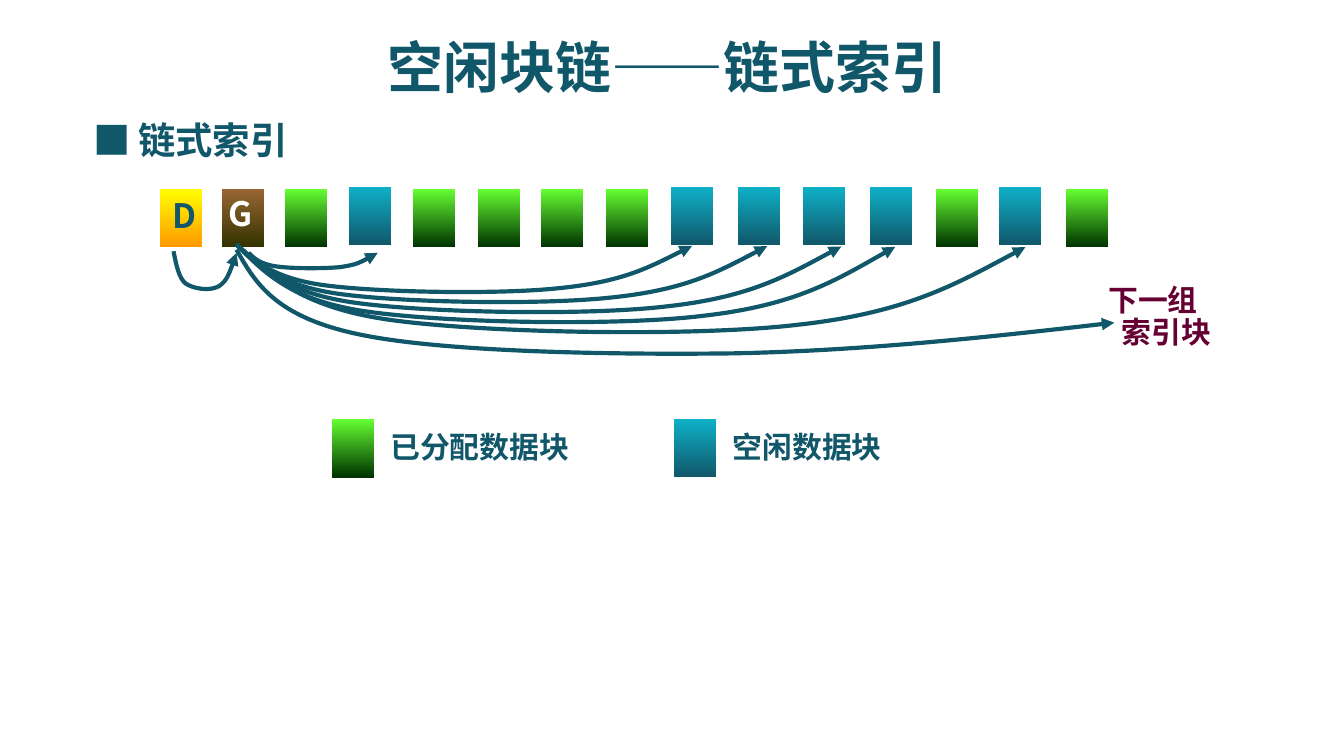
from dataclasses import dataclass

from lxml import etree
from pptx import Presentation
from pptx.dml.color import RGBColor
from pptx.enum.shapes import MSO_SHAPE
from pptx.enum.text import MSO_ANCHOR, PP_ALIGN
from pptx.oxml.ns import qn
from pptx.util import Cm, Pt

RECTANGLE = MSO_SHAPE.RECTANGLE
LEFT, CENTER = PP_ALIGN.LEFT, PP_ALIGN.CENTER
MIDDLE = MSO_ANCHOR.MIDDLE

Point = tuple[float, float]


@dataclass(frozen=True)
class Theme:
    font: str = "Noto Sans CJK SC"
    bullet_font: str = "Noto Sans CJK JP"
    teal: str = "11576A"
    white: str = "FFFFFF"
    maroon: str = "660033"
    title: int = 30
    heading: int = 20
    letter: int = 18
    label: int = 16
    curve_width: float = 2.25
    line_spacing: float = 0.9


@dataclass(frozen=True)
class BlockKind:
    top_color: str
    bottom_color: str
    top: float


@dataclass(frozen=True)
class Label:
    text: str
    left: float
    top: float
    width: float
    height: float
    size: int
    color: str
    align: PP_ALIGN = LEFT
    font: str = Theme.font
    hanging: float = 0
    first_line: float = 0


THEME = Theme()
DIRECTORY = BlockKind("FFFF00", "FF9900", 3.57)
GROUP = BlockKind("996633", "333300", 3.57)
USED = BlockKind("66FF33", "003300", 3.57)
FREE = BlockKind("0EB1C8", THEME.teal, 3.53)
BLOCK_WIDTH, BLOCK_HEIGHT = 0.8, 1.1

BLOCKS = [
    (DIRECTORY, 3.02), (GROUP, 4.2), (USED, 5.39), (FREE, 6.6), (USED, 7.81),
    (USED, 9.03), (USED, 10.22), (USED, 11.45), (FREE, 12.68), (FREE, 13.95),
    (FREE, 15.18), (FREE, 16.44), (USED, 17.69), (FREE, 18.88), (USED, 20.15),
]
LEGEND_TOP = 7.92
LEGEND = [(USED, 6.27, "已分配数据块", 5.1), (FREE, 12.74, "空闲数据块", 4.2)]

LABELS = [
    Label("空闲块链——链式索引", 1.19, 0.64, 22.86, 1.42, THEME.title, THEME.teal, CENTER),
    Label("链式索引", 2.36, 2.18, 3.96, 1.19, THEME.heading, THEME.teal),
    Label("■", 1.52, 2.18, 1.19, 1.12, THEME.heading, THEME.teal, font=THEME.bullet_font),
    Label("G", 4.06, 3.61, 1.02, 0.99, THEME.letter, THEME.white),
    Label("下一组索引块", 20.19, 5.28, 3.1, 2.59, THEME.label, THEME.maroon,
          hanging=0.76, first_line=-0.25),
]

# Each curve is a start point followed by cubic Bezier triples.
DIRECTORY_CURVE = [
    (3.28, 4.75), (3.33, 5), (3.38, 5.26), (3.51, 5.36), (3.66, 5.46),
    (3.96, 5.51), (4.14, 5.41), (4.29, 5.31), (4.39, 5.03), (4.47, 4.78),
]
NEAREST_CURVE = [
    (4.7, 4.78), (4.8, 4.88), (4.9, 4.98), (5.18, 5.03), (5.46, 5.08),
    (6.1, 5.08), (6.43, 5.05), (6.76, 5), (6.93, 4.9), (7.14, 4.78),
]
NEXT_GROUP_CURVE = [
    (4.47, 4.72), (4.83, 5.36), (5.21, 5.99), (6.78, 6.32), (8.33, 6.65),
    (11.48, 6.71), (13.87, 6.68), (16.26, 6.63), (18.64, 6.38), (21.06, 6.1),
]
# The remaining curves stretch one unit curve to their own span and depth.
FAN_UNIT = [
    (0, 0), (0.04, 0.33), (0.08, 0.67), (0.19, 0.81), (0.31, 0.96),
    (0.58, 1), (0.71, 0.87), (0.85, 0.74), (0.92, 0.39), (1, 0.03),
]
FAN_START = (4.47, 4.62)
FAN_ENDS = [13.08, 14.5, 15.9, 16.92, 19.38]
FAN_DEPTH, FAN_DEPTH_STEP = 0.95, 0.2


def style_paragraph(para, size: int, color: str, font: str = THEME.font) -> None:
    para.line_spacing = THEME.line_spacing
    para.font.size = Pt(size)
    para.font.bold = True
    para.font.name = font
    para.font.color.rgb = RGBColor.from_string(color)
    defaults = para._p.pPr.find(qn("a:defRPr"))
    etree.SubElement(defaults, qn("a:ea"), typeface=font)


def add_label(slide, label: Label) -> None:
    box = slide.shapes.add_textbox(
        Cm(label.left), Cm(label.top), Cm(label.width), Cm(label.height))
    box.text_frame.word_wrap = True
    para = box.text_frame.paragraphs[0]
    para.text = label.text
    para.alignment = label.align
    if label.hanging:
        properties = para._p.get_or_add_pPr()
        properties.set("marL", str(Cm(label.hanging)))
        properties.set("indent", str(Cm(label.first_line)))
    style_paragraph(para, label.size, label.color, label.font)


def add_block(slide, kind: BlockKind, left: float, top: float):
    block = slide.shapes.add_shape(
        RECTANGLE, Cm(left), Cm(top), Cm(BLOCK_WIDTH), Cm(BLOCK_HEIGHT))
    block.shadow.inherit = False
    block.line.fill.background()
    block.fill.gradient()
    block.fill.gradient_angle = 270
    for stop, color in zip(block.fill.gradient_stops, (kind.top_color, kind.bottom_color)):
        stop.color.rgb = RGBColor.from_string(color)
    return block


def add_curve(slide, points: list[Point]) -> None:
    """Draw an arrow along cubic Bezier segments."""
    start, *rest = [(Cm(x), Cm(y)) for x, y in points]
    builder = slide.shapes.build_freeform(*start)
    builder.add_line_segments(rest, close=False)
    curve = builder.convert_to_shape()
    segments = list(curve.element.iter(qn("a:lnTo")))
    for first in range(0, len(segments), 3):
        bezier = etree.Element(qn("a:cubicBezTo"))
        segments[first].addprevious(bezier)
        for segment in segments[first:first + 3]:
            bezier.append(segment[0])
            segment.getparent().remove(segment)
    curve.shadow.inherit = False
    curve.fill.background()
    curve.line.color.rgb = RGBColor.from_string(THEME.teal)
    curve.line.width = Pt(THEME.curve_width)
    etree.SubElement(curve.line._get_or_add_ln(), qn("a:tailEnd"), type="triangle")


def fan_curve(end: float, depth: float) -> list[Point]:
    left, top = FAN_START
    return [(left + x * (end - left), top + y * depth) for x, y in FAN_UNIT]


def main() -> None:
    deck = Presentation()
    deck.slide_width, deck.slide_height = Cm(25.4), Cm(14.29)
    slide = deck.slides.add_slide(deck.slide_layouts[6])

    for kind, left in BLOCKS:
        block = add_block(slide, kind, left, kind.top)
        if kind is DIRECTORY:
            block.text_frame.vertical_anchor = MIDDLE
            para = block.text_frame.paragraphs[0]
            para.text = "D"
            para.alignment = CENTER
            style_paragraph(para, THEME.letter, THEME.teal)

    fans = [fan_curve(end, FAN_DEPTH + FAN_DEPTH_STEP * index)
            for index, end in enumerate(FAN_ENDS)]
    for points in [DIRECTORY_CURVE, NEAREST_CURVE, *fans, NEXT_GROUP_CURVE]:
        add_curve(slide, points)

    for label in LABELS:
        add_label(slide, label)
    for kind, left, text, width in LEGEND:
        add_block(slide, kind, left, LEGEND_TOP)
        add_label(slide, Label(text, left + 0.86, 8.05, width, 1.19,
                               THEME.label, THEME.teal))

    deck.save("out.pptx")


if __name__ == "__main__":
    main()
